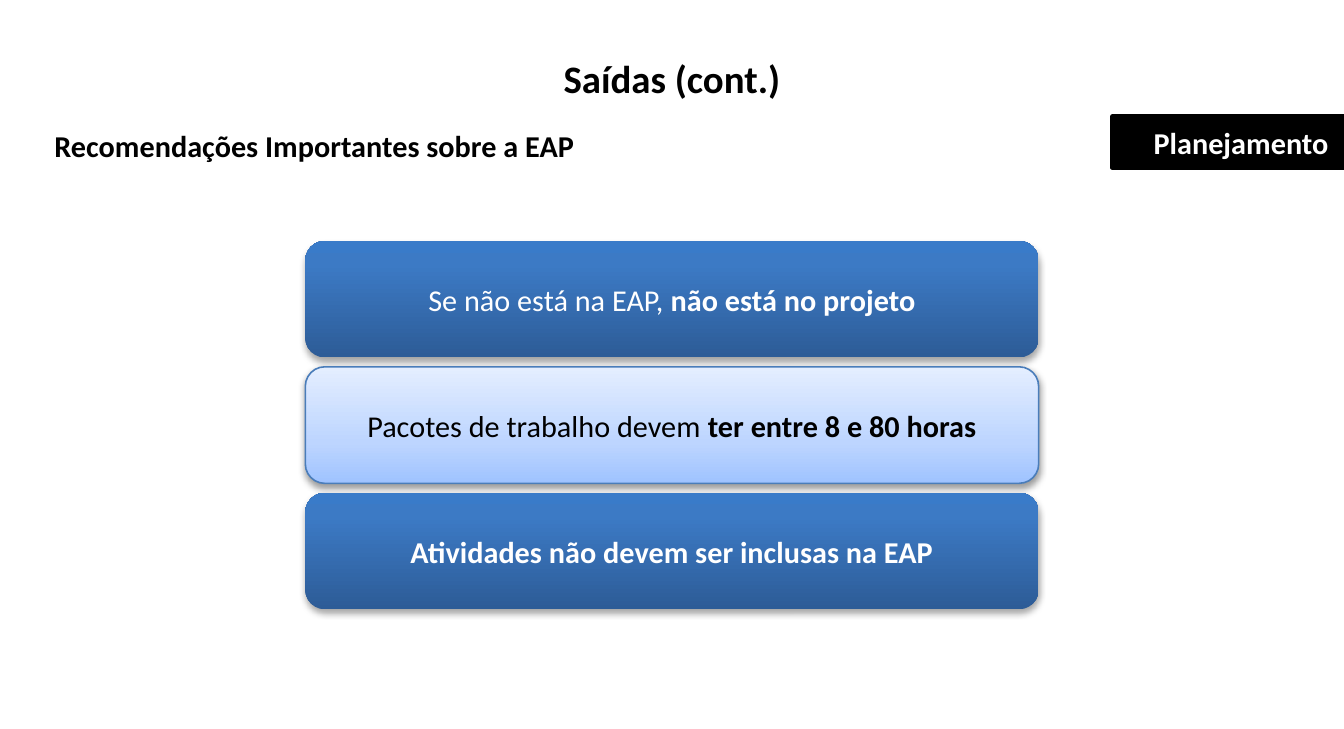
from pptx import Presentation
from pptx.dml.color import RGBColor
from pptx.enum.shapes import MSO_SHAPE
from pptx.enum.text import MSO_ANCHOR, PP_ALIGN
from pptx.oxml import parse_xml
from pptx.oxml.ns import nsdecls, qn
from pptx.util import Inches, Pt

COLORS = {"black": "000000", "white": "FFFFFF", "outline": "4A7DBA"}
DARK_STOPS = [(0, "2D5C97"), (80, "3C7AC5"), (100, "397BC9")]
LIGHT_STOPS = [(0, "9FC3FF"), (35, "BDD5FF"), (100, "E4EEFF")]
WIDTH, HEIGHT = 8.65, 4.69
CARD_WIDTH, CARD_HEIGHT = 4.72, 0.75
CARD_TOP, CARD_PITCH = 1.55, 0.81


def write_text(shape, *parts, size=14, color="black", align=PP_ALIGN.LEFT,
               anchor=MSO_ANCHOR.TOP, inset_x=0.1, inset_y=0.05):
    frame = shape.text_frame
    frame.word_wrap = True
    frame.vertical_anchor = anchor
    frame.margin_left = frame.margin_right = Inches(inset_x)
    frame.margin_top = frame.margin_bottom = Inches(inset_y)
    para = frame.paragraphs[0]
    para.alignment = align
    for text, bold in parts:
        span = para.add_run()
        span.text = text
        span.font.name = "Calibri"
        span.font.size = Pt(size)
        span.font.bold = bold
        span.font.color.rgb = RGBColor.from_string(COLORS[color])


def style_card(card, stops, opacity, distance):
    card.fill.gradient()
    card.fill.gradient_angle = 90
    stop_list = card.fill._xPr.find(qn("a:gradFill")).find(qn("a:gsLst"))
    for stop in list(stop_list):
        stop_list.remove(stop)
    for share, color in stops:
        stop_list.append(parse_xml(
            f'<a:gs {nsdecls("a")} pos="{share * 1000}"><a:srgbClr val="{color}"/></a:gs>'))
    card.shadow.inherit = False
    effects = card._element.spPr.find(qn("a:effectLst"))
    effects.append(parse_xml(
        f'<a:outerShdw {nsdecls("a")} blurRad="{Pt(3.1)}" dist="{Pt(distance)}" '
        f'dir="5400000" rotWithShape="0"><a:srgbClr val="{COLORS["black"]}">'
        f'<a:alpha val="{opacity * 1000}"/></a:srgbClr></a:outerShdw>'))


deck = Presentation()
deck.slide_width, deck.slide_height = Inches(WIDTH), Inches(HEIGHT)
page = deck.slides.add_slide(deck.slide_layouts[6])

title = page.shapes.add_textbox(0, Inches(0.3), Inches(WIDTH), Inches(0.4))
write_text(title, ("Saídas (cont.)", True), size=18, align=PP_ALIGN.CENTER)

tag_width = 1.49
tag = page.shapes.add_shape(MSO_SHAPE.RECTANGLE, Inches(WIDTH - tag_width), Inches(0.75),
                            Inches(tag_width), Inches(0.33))
tag.shadow.inherit = False
tag.fill.solid()
tag.fill.fore_color.rgb = RGBColor.from_string(COLORS["black"])
tag.line.color.rgb = RGBColor.from_string(COLORS["black"])
tag.line.width = Pt(2)
write_text(tag, ("Planejamento", True), color="white", align=PP_ALIGN.RIGHT,
           anchor=MSO_ANCHOR.MIDDLE)

subtitle = page.shapes.add_textbox(Inches(0.28), Inches(0.78), Inches(9.44), Inches(0.76))
write_text(subtitle, ("Recomendações Importantes sobre a EAP", True), inset_x=0.07, inset_y=0.04)

recommendations = [
    [("Se não está na EAP, ", False), ("não está no projeto", True)],
    [("Pacotes de trabalho devem ", False), ("ter entre 8 e 80 horas", True)],
    [("Atividades não devem ser inclusas na EAP", True)],
]
for row, parts in enumerate(recommendations):
    card = page.shapes.add_shape(
        MSO_SHAPE.ROUNDED_RECTANGLE, Inches((WIDTH - CARD_WIDTH) / 2),
        Inches(CARD_TOP + row * CARD_PITCH), Inches(CARD_WIDTH), Inches(CARD_HEIGHT))
    card.adjustments[0] = 0.167
    light = row % 2 == 1
    if light:
        style_card(card, LIGHT_STOPS, opacity=38, distance=1.6)
        card.line.color.rgb = RGBColor.from_string(COLORS["outline"])
        card.line.width = Pt(0.75)
    else:
        style_card(card, DARK_STOPS, opacity=35, distance=1.8)
        card.line.fill.background()
    write_text(card, *parts, color="black" if light else "white",
               align=PP_ALIGN.CENTER, anchor=MSO_ANCHOR.MIDDLE)

deck.save("out.pptx")
